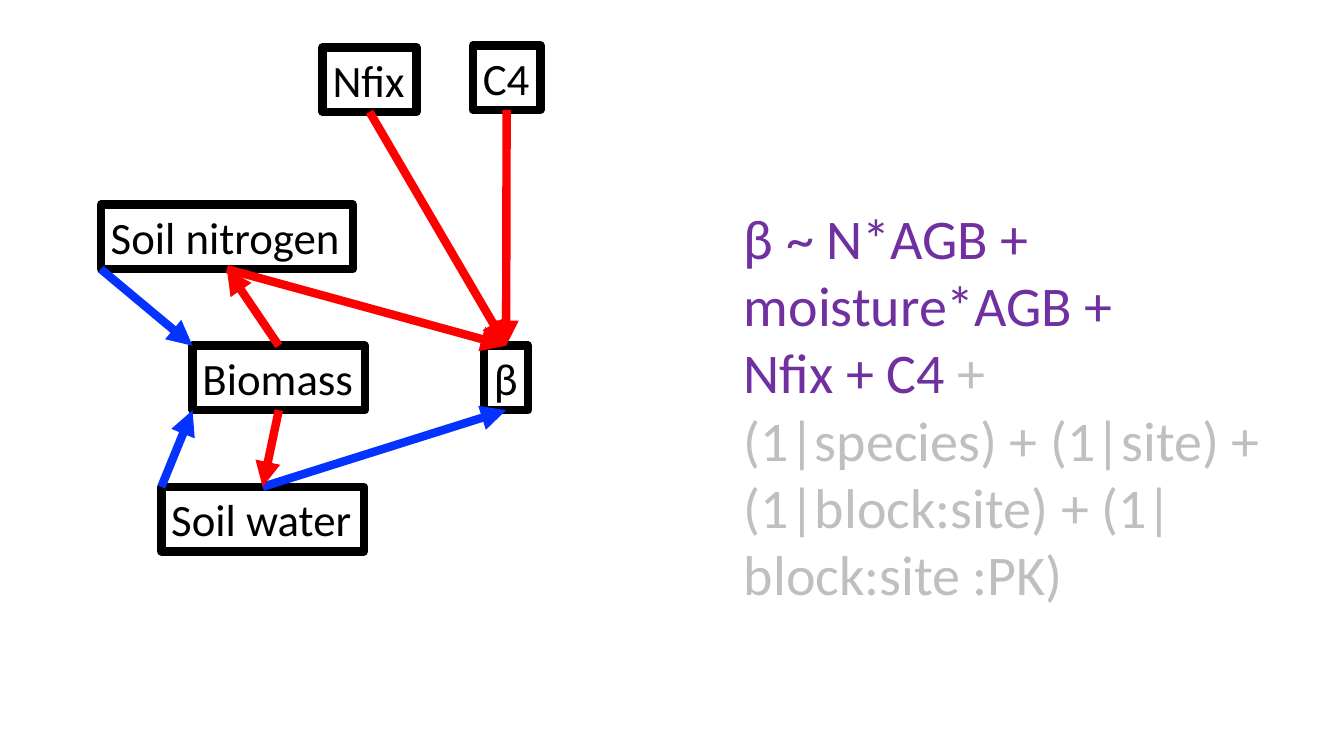
from lxml import etree
from pptx import Presentation
from pptx.dml.color import RGBColor
from pptx.enum import shapes, text
from pptx.oxml import ns
from pptx.util import Inches, Pt

BLACK, RED, BLUE, PURPLE, GREY = "000000", "FF0000", "0432FF", "7030A0", "BFBFBF"
TOP, BOTTOM = 0, 2  # connection sites of a rectangle
BOX_HEIGHT = 0.64


def color(value):
    return RGBColor.from_string(value)


def add_run(paragraph, content, size=32, fill=BLACK, font="Calibri"):
    run = paragraph.add_run()
    run.text = content
    run.font.name = font
    run.font.size = Pt(size)
    run.font.color.rgb = color(fill)


class PathDiagram:
    """Holds the slide and the line style shared by boxes and arrows."""

    def __init__(self, slide, line_width=6):
        self.slide = slide
        self.line_width = Pt(line_width)

    def style_line(self, shape, line_color):
        shape.line.color.rgb = color(line_color)
        shape.line.width = self.line_width

    def box(self, label, left, top, width):
        shape = self.slide.shapes.add_textbox(
            Inches(left), Inches(top), Inches(width), Inches(BOX_HEIGHT))
        self.style_line(shape, BLACK)
        frame = shape.text_frame
        frame.word_wrap = False
        frame.auto_size = text.MSO_AUTO_SIZE.SHAPE_TO_FIT_TEXT
        add_run(frame.paragraphs[0], label)
        return shape

    def arrow(self, line_color, start=(0, 0), end=(0, 0)):
        """Draw a straight arrow between two points in EMU."""
        connector = self.slide.shapes.add_connector(
            shapes.MSO_CONNECTOR.STRAIGHT, *start, *end)
        self.style_line(connector, line_color)
        etree.SubElement(connector.line._get_or_add_ln(),
                         ns.qn("a:tailEnd"), type="triangle")
        etree.SubElement(connector._element.spPr, ns.qn("a:effectLst"))
        return connector

    def link(self, line_color, source, source_site, target, target_site):
        """Glue an arrow to the edge middles of two boxes."""
        connector = self.arrow(line_color)
        connector.begin_connect(source, source_site)
        connector.end_connect(target, target_site)

    def formula(self, left, top, width, height, paragraphs):
        shape = self.slide.shapes.add_textbox(
            Inches(left), Inches(top), Inches(width), Inches(height))
        frame = shape.text_frame
        frame.word_wrap = True
        frame.auto_size = text.MSO_AUTO_SIZE.SHAPE_TO_FIT_TEXT
        for index, runs in enumerate(paragraphs):
            paragraph = frame.add_paragraph() if index else frame.paragraphs[0]
            for content, fill in runs:
                add_run(paragraph, content, size=40, fill=fill)


def main():
    presentation = Presentation()
    presentation.slide_width = Inches(13.33)
    presentation.slide_height = Inches(7.5)
    slide = presentation.slides.add_slide(presentation.slide_layouts[6])
    diagram = PathDiagram(slide)

    diagram.formula(7.28, 1.97, 5.66, 4.14, [
        [("β ~ N*AGB + moisture*AGB +", PURPLE)],
        [("Nfix + C4 ", PURPLE), ("+", GREY)],
        [("(1|species) + (1|site) + (1|block:site) + (1|block:site :PK)", GREY)],
    ])

    nitrogen = diagram.box("Soil nitrogen", 1, 2.03, 2.5)
    beta = diagram.box("β", 4.8, 3.43, 0.44)
    water = diagram.box("Soil water", 1.6, 4.83, 2.01)
    nfix = diagram.box("Nfix", 3.2, 0.47, 0.93)
    c4 = diagram.box("C4", 4.69, 0.45, 0.67)
    biomass = diagram.box("Biomass", 1.91, 3.43, 1.71)

    for link in (
        (RED, nitrogen, BOTTOM, beta, TOP),
        (BLUE, water, TOP, beta, BOTTOM),
        (RED, nfix, BOTTOM, beta, TOP),
        (RED, c4, BOTTOM, beta, TOP),
        (RED, biomass, TOP, nitrogen, BOTTOM),
        (RED, biomass, BOTTOM, water, TOP),
    ):
        diagram.link(*link)

    # Left corners of the boxes
    diagram.arrow(BLUE, (water.left, water.top),
                  (biomass.left, biomass.top + biomass.height))
    diagram.arrow(BLUE, (nitrogen.left, nitrogen.top + nitrogen.height),
                  (biomass.left, biomass.top))

    presentation.save("out.pptx")


if __name__ == "__main__":
    main()
